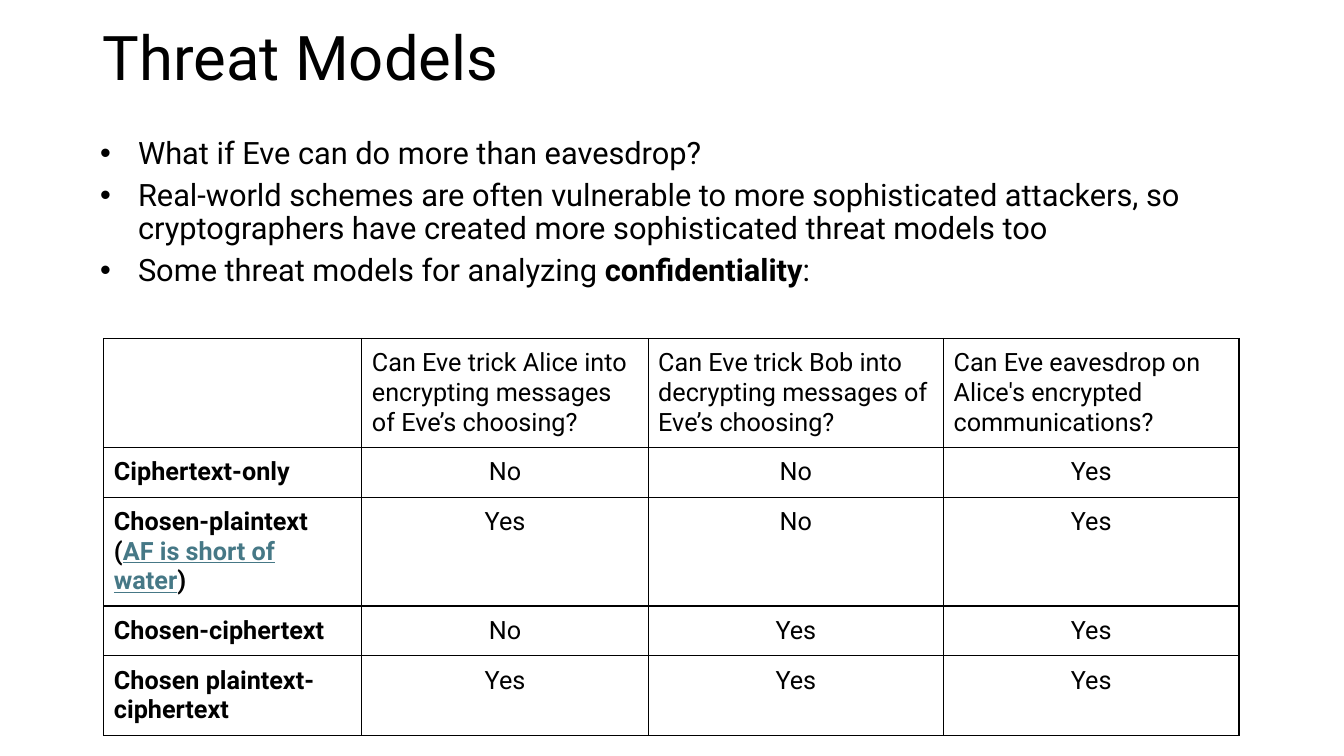
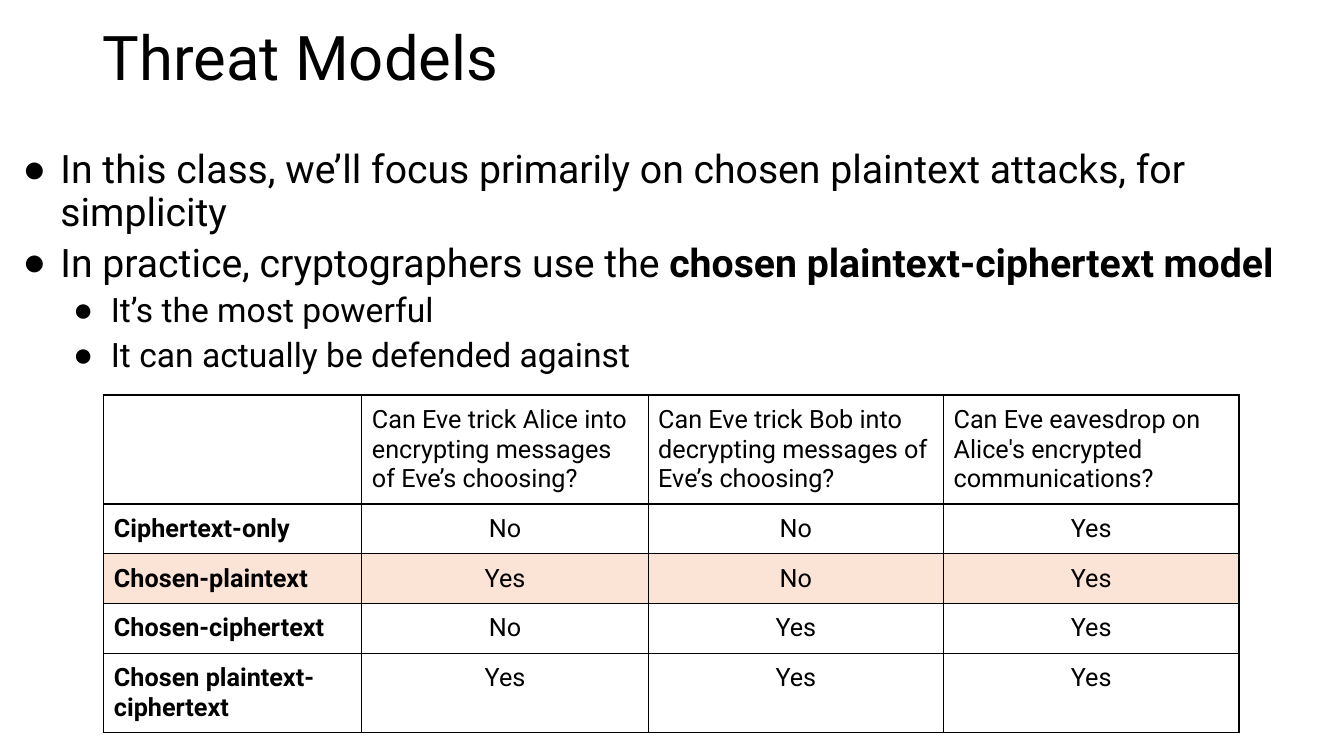
from dataclasses import dataclass

from lxml import etree
from pptx import Presentation
from pptx.dml.color import RGBColor
from pptx.enum import text
from pptx.oxml import ns
from pptx.util import Pt

BLACK = RGBColor(0x00, 0x00, 0x00)
WHITE = RGBColor(0xFF, 0xFF, 0xFF)
LINK_TEAL = RGBColor(0x46, 0x78, 0x86)
HIGHLIGHT = RGBColor(0xFB, 0xE3, 0xD6)
FONT = "Roboto"
INSET = Pt(7.2)
TABLE_LEFT = 74.2
COLUMN_WIDTHS = (184.3, 204.5, 211, 211)
ROW_HEIGHT = 30


@dataclass(frozen=True)
class Span:
    text: str
    bold: bool = False
    underline: bool = False
    color: RGBColor = BLACK


@dataclass(frozen=True)
class Box:
    left: float
    top: float
    width: float
    height: float


@dataclass(frozen=True)
class Bullet:
    spans: tuple[Span, ...]
    size: float
    level: int = 0


@dataclass(frozen=True)
class ThreatSlide:
    body: Box
    symbol: str
    bullets: tuple[Bullet, ...]
    table_top: float
    plaintext_note: tuple[Span, ...] = ()
    highlighted_row: int | None = None


TITLE_BOX = Box(66.2, 13, 828, 59.8)
HEADER = (
    "",
    "Can Eve trick Alice into encrypting messages of Eve’s choosing?",
    "Can Eve trick Bob into decrypting messages of Eve’s choosing?",
    "Can Eve eavesdrop on Alice's encrypted communications?",
)
PLAINTEXT_ROW = 2
MODELS = (
    ("Ciphertext-only", "No", "No", "Yes"),
    ("Chosen-plaintext", "Yes", "No", "Yes"),
    ("Chosen-ciphertext", "No", "Yes", "Yes"),
    ("Chosen plaintext-ciphertext", "Yes", "Yes", "Yes"),
)
SLIDES = (
    ThreatSlide(
        body=Box(55.4, 91.4, 838, 131.8),
        symbol="•",
        bullets=(
            Bullet((Span("What if Eve can do more than eavesdrop?"),), 22),
            Bullet((Span("Real-world schemes are often vulnerable to more sophisticated attackers, "
                         "so cryptographers have created more sophisticated threat models too"),), 22),
            Bullet((Span("Some threat models for analyzing "),
                    Span("confidentiality", bold=True), Span(":")), 22),
        ),
        table_top=241.8,
        plaintext_note=(
            Span("(", bold=True),
            Span("AF is short of water", bold=True, underline=True, color=LINK_TEAL),
            Span(")", bold=True),
        ),
    ),
    ThreatSlide(
        body=Box(0, 100, 960, 152),
        symbol="●",
        bullets=(
            Bullet((Span("In this class, we’ll focus primarily on chosen plaintext attacks, "
                         "for simplicity"),), 28),
            Bullet((Span("In practice, cryptographers use the "),
                    Span("chosen plaintext-ciphertext model", bold=True)), 28),
            Bullet((Span("It’s the most powerful"),), 24, level=1),
            Bullet((Span("It can actually be defended against"),), 24, level=1),
        ),
        table_top=282.2,
        highlighted_row=PLAINTEXT_ROW,
    ),
)


def place(shape, box: Box) -> None:
    shape.left, shape.top = Pt(box.left), Pt(box.top)
    shape.width, shape.height = Pt(box.width), Pt(box.height)


def format_font(font, size: float, span: Span) -> None:
    font.name = FONT
    font.size = Pt(size)
    font.bold = span.bold
    font.underline = span.underline
    font.color.rgb = span.color


def write_spans(paragraph, spans: tuple[Span, ...], size: float) -> None:
    for span in spans:
        run = paragraph.add_run()
        run.text = span.text
        format_font(run.font, size, span)


def set_bullet(paragraph, symbol: str, level: int) -> None:
    """Give the paragraph a hanging bullet, indented half an inch per level."""
    properties = paragraph._p.get_or_add_pPr()
    properties.set("marL", str(Pt(36 * (level + 1))))
    properties.set("indent", str(Pt(-27)))
    etree.SubElement(properties, ns.qn("a:buFont"), typeface="Arial")
    etree.SubElement(properties, ns.qn("a:buChar"), char=symbol)


def set_borders(cell) -> None:
    properties = cell._tc.get_or_add_tcPr()
    for side in ("lnL", "lnR", "lnT", "lnB"):
        line = etree.SubElement(properties, ns.qn(f"a:{side}"), w=str(Pt(1)))
        fill = etree.SubElement(line, ns.qn("a:solidFill"))
        etree.SubElement(fill, ns.qn("a:srgbClr"), val=str(BLACK))


def fill_title(title) -> None:
    place(title, TITLE_BOX)
    frame = title.text_frame
    frame.text = "Threat Models"
    frame.auto_size = text.MSO_AUTO_SIZE.NONE
    frame.vertical_anchor = text.MSO_ANCHOR.MIDDLE
    paragraph = frame.paragraphs[0]
    paragraph.alignment = text.PP_ALIGN.LEFT
    paragraph.line_spacing = 0.9
    format_font(paragraph.runs[0].font, 44, Span(frame.text))


def fill_body(body, content: ThreatSlide) -> None:
    place(body, content.body)
    frame = body.text_frame
    frame.auto_size = text.MSO_AUTO_SIZE.NONE
    frame.vertical_anchor = text.MSO_ANCHOR.TOP
    frame.margin_left = frame.margin_right = INSET
    frame.margin_top = frame.margin_bottom = INSET
    for index, bullet in enumerate(content.bullets):
        paragraph = frame.add_paragraph() if index else frame.paragraphs[0]
        paragraph.level = bullet.level
        paragraph.line_spacing = 0.9
        paragraph.space_before = Pt(0)
        paragraph.space_after = Pt(6)
        set_bullet(paragraph, content.symbol, bullet.level)
        write_spans(paragraph, bullet.spans, bullet.size)


def fill_cell(cell, words: str, is_label: bool, centered: bool, color: RGBColor) -> None:
    cell.margin_left = cell.margin_right = INSET
    cell.margin_top = cell.margin_bottom = INSET
    set_borders(cell)
    cell.fill.solid()
    cell.fill.fore_color.rgb = color
    paragraph = cell.text_frame.paragraphs[0]
    paragraph.alignment = text.PP_ALIGN.CENTER if centered else text.PP_ALIGN.LEFT
    if words:
        write_spans(paragraph, (Span(words, bold=is_label),), 18)


def add_model_table(slide, content: ThreatSlide) -> None:
    rows = (HEADER, *MODELS)
    frame = slide.shapes.add_table(
        len(rows), len(HEADER), Pt(TABLE_LEFT), Pt(content.table_top),
        Pt(sum(COLUMN_WIDTHS)), Pt(ROW_HEIGHT * len(rows)))
    table = frame.table
    table.first_row = table.horz_banding = False
    for column, width in zip(table.columns, COLUMN_WIDTHS):
        column.width = Pt(width)
    for row_index, row in enumerate(rows):
        table.rows[row_index].height = Pt(ROW_HEIGHT)
        color = HIGHLIGHT if row_index == content.highlighted_row else WHITE
        for column_index, words in enumerate(row):
            fill_cell(table.cell(row_index, column_index), words,
                      is_label=column_index == 0,
                      centered=row_index > 0 and column_index > 0, color=color)
    if content.plaintext_note:
        note = table.cell(PLAINTEXT_ROW, 0).text_frame.add_paragraph()
        write_spans(note, content.plaintext_note, 18)


def main() -> None:
    presentation = Presentation()
    presentation.slide_width, presentation.slide_height = Pt(960), Pt(540)
    for content in SLIDES:
        slide = presentation.slides.add_slide(presentation.slide_layouts[1])
        fill_title(slide.shapes.title)
        fill_body(slide.placeholders[1], content)
        add_model_table(slide, content)
    presentation.save("out.pptx")


if __name__ == "__main__":
    main()
